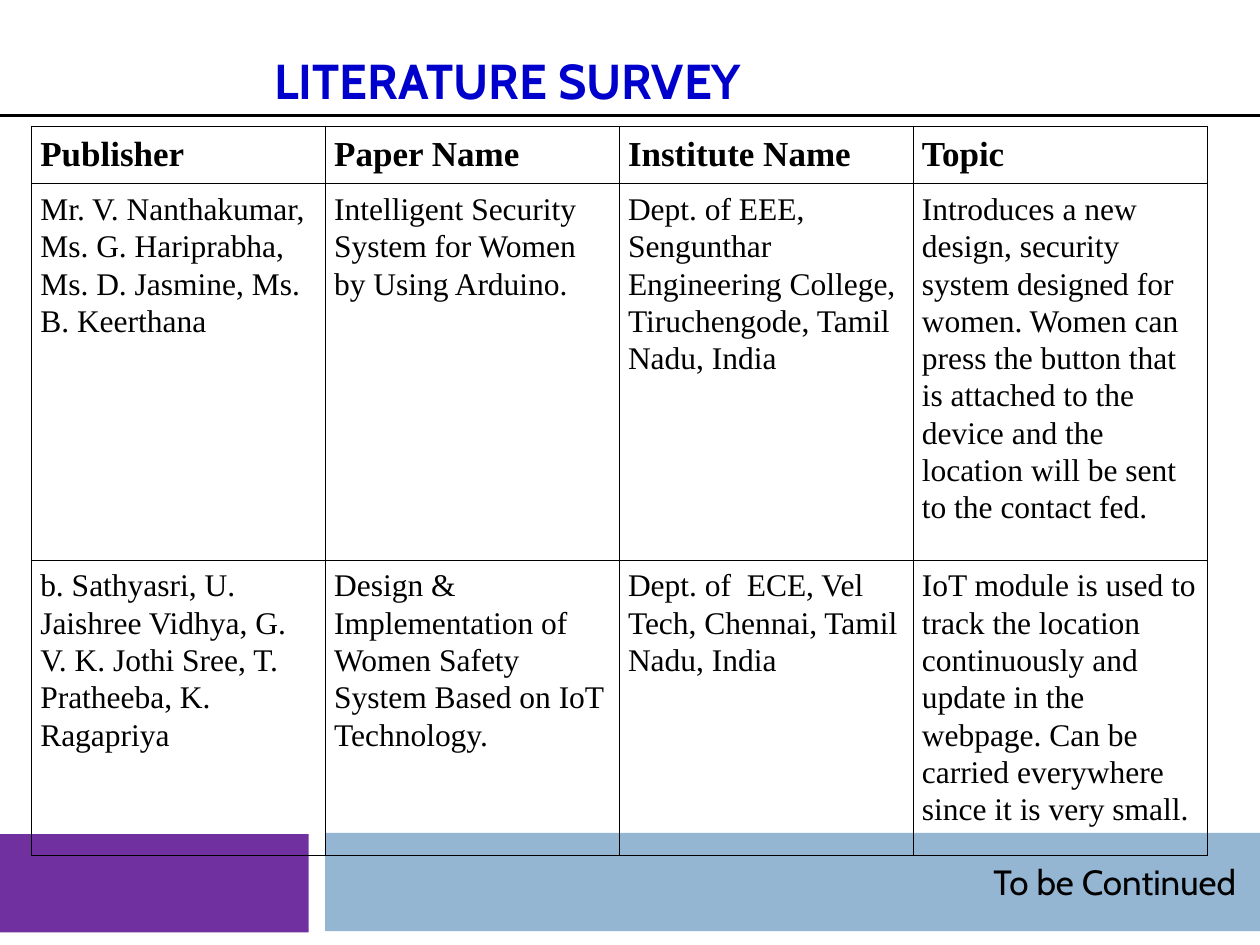
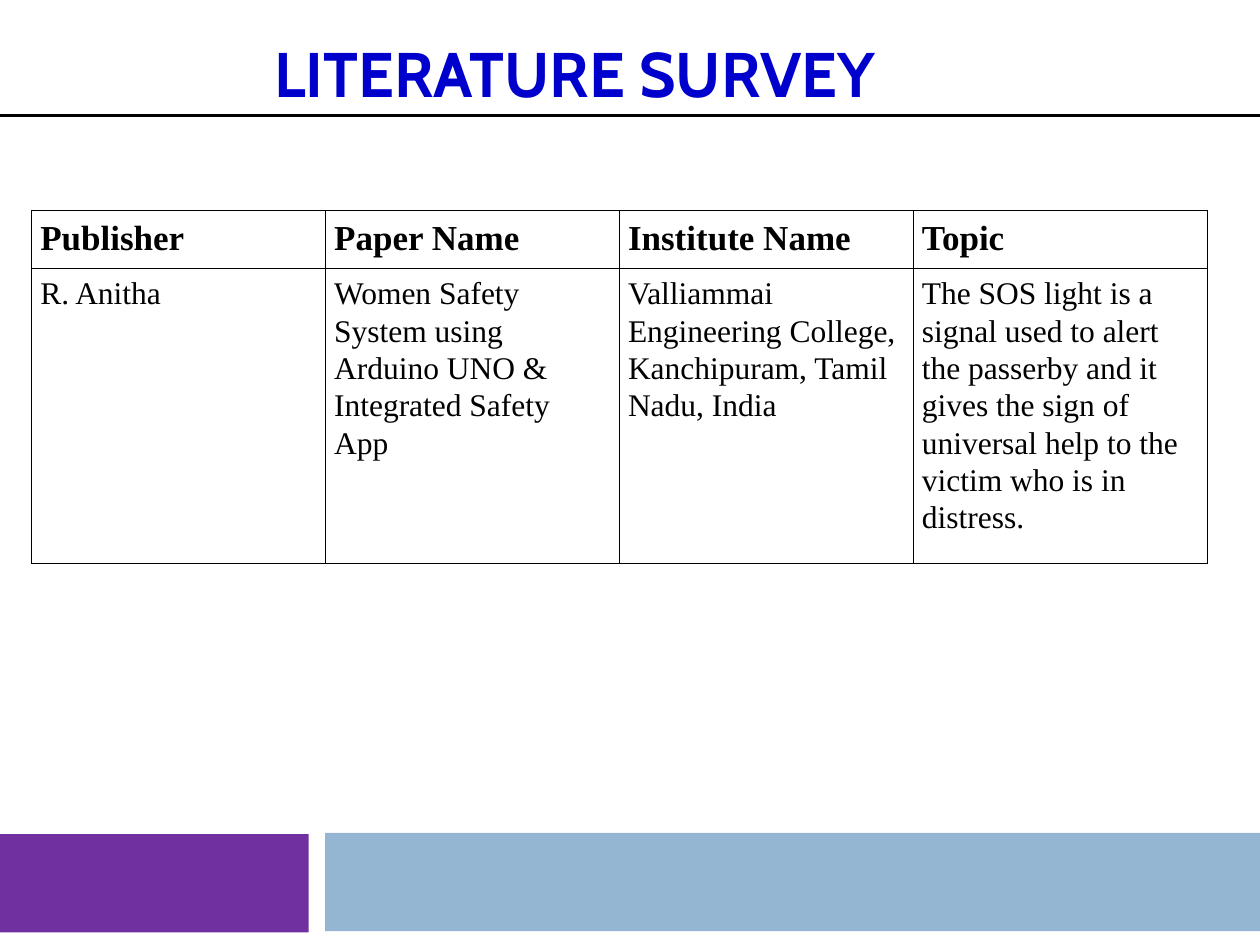
from dataclasses import dataclass

from lxml import etree
from pptx import Presentation
from pptx.dml.color import RGBColor
from pptx.enum.shapes import MSO_CONNECTOR, MSO_SHAPE
from pptx.enum.text import MSO_ANCHOR, PP_ALIGN
from pptx.oxml.ns import qn
from pptx.util import Inches, Pt

RECT = MSO_SHAPE.RECTANGLE
STRAIGHT = MSO_CONNECTOR.STRAIGHT
BOTTOM, MIDDLE = MSO_ANCHOR.BOTTOM, MSO_ANCHOR.MIDDLE
LEFT, RIGHT = PP_ALIGN.LEFT, PP_ALIGN.RIGHT

TITLE = "LITERATURE SURVEY"
HEADER = ("Publisher", "Paper Name", "Institute Name", "Topic")

SLIDES = [
    {
        "title_size": 28,
        "table_top": 1,
        "footer": "To be Continued",
        "row_heights": (2.89, 2.25),
        "papers": [
            (
                "Mr. V. Nanthakumar, Ms. G. Hariprabha, Ms. D. Jasmine, Ms. B. Keerthana",
                "Intelligent Security System for Women by Using Arduino.",
                "Dept. of EEE, Sengunthar Engineering College, Tiruchengode, "
                "Tamil Nadu, India",
                "Introduces a new design, security system designed for women. "
                "Women can press the button that is attached to the device and "
                "the location will be sent to the contact fed.",
            ),
            (
                "b. Sathyasri, U. Jaishree Vidhya, G. V. K. Jothi Sree, "
                "T. Pratheeba, K. Ragapriya",
                "Design & Implementation of Women Safety System Based on IoT Technology.",
                "Dept. of  ECE, Vel Tech, Chennai, Tamil Nadu, India",
                "IoT module is used to track the location continuously and update "
                "in the webpage. Can be carried everywhere since it is very small.",
            ),
        ],
    },
    {
        "title_size": 36,
        "table_top": 1.67,
        "footer": None,
        "row_heights": (2.25,),
        "papers": [
            (
                "R. Anitha",
                "Women Safety System using Arduino UNO & Integrated Safety App",
                "Valliammai Engineering College, Kanchipuram, Tamil Nadu, India",
                "The SOS light is a signal used to alert the passerby and it gives "
                "the sign of universal help to the victim who is in distress.",
            ),
        ],
    },
]


@dataclass(frozen=True)
class Theme:
    title: str = "0000CC"
    text: str = "000000"
    purple: str = "7030A0"
    blue: str = "94B6D2"
    heading_font: str = "Cabin"
    table_font: str = "Times New Roman"
    footer_size: int = 20
    header_size: int = 20
    body_size: int = 18
    rule_width: float = 1.75
    border_width: float = 0.45


THEME = Theme()
RULE_Y = 0.92
BANDS = [((-0.01, 6.62, 2.46, 0.78), THEME.purple), ((2.58, 6.61, 7.42, 0.78), THEME.blue)]
TITLE_BOX = (2.08, 0, 9.08, RULE_Y)
FOOTER_BOX = (2.58, 6.62, 7.33, 0.75)
TABLE_LEFT, TABLE_WIDTH, HEADER_HEIGHT = 0.25, 9.33, 0.43
CELL_MARGIN_X, CELL_MARGIN_Y = 0.07, 0.05


def inches(box):
    return [Inches(v) for v in box]


def add_run(p, text, font, size, color, bold=False):
    r = p.add_run()
    r.text = text
    r.font.name = font
    r.font.size = Pt(size)
    r.font.bold = bold
    r.font.color.rgb = RGBColor.from_string(color)


def add_text(s, box, text, size, color, anchor, align, bold=False):
    tf = s.shapes.add_textbox(*inches(box)).text_frame
    tf.word_wrap = True
    tf.vertical_anchor = anchor
    p = tf.paragraphs[0]
    p.alignment = align
    add_run(p, text, THEME.heading_font, size, color, bold)


def add_bands(s):
    for box, color in BANDS:
        sp = s.shapes.add_shape(RECT, *inches(box))
        sp.shadow.inherit = False
        sp.fill.solid()
        sp.fill.fore_color.rgb = RGBColor.from_string(color)
        sp.line.fill.background()


def add_rule(s):
    rule = s.shapes.add_connector(STRAIGHT, *inches((0, RULE_Y, 10, RULE_Y)))
    rule.line.color.rgb = RGBColor.from_string(THEME.text)
    rule.line.width = Pt(THEME.rule_width)
    etree.SubElement(rule._element.spPr, qn("a:effectLst"))


def add_borders(cell):
    tc_pr = cell._tc.get_or_add_tcPr()
    for side in ("a:lnL", "a:lnR", "a:lnT", "a:lnB"):
        ln = etree.SubElement(tc_pr, qn(side), w=str(Pt(THEME.border_width)))
        fill = etree.SubElement(ln, qn("a:solidFill"))
        etree.SubElement(fill, qn("a:srgbClr"), val=THEME.text)


def fill_cell(cell, text, is_header):
    add_borders(cell)
    cell.fill.background()
    cell.margin_left = cell.margin_right = Inches(CELL_MARGIN_X)
    cell.margin_top = cell.margin_bottom = Inches(CELL_MARGIN_Y)
    p = cell.text_frame.paragraphs[0]
    p.line_spacing = 1.07
    p.space_after = Pt(8)
    size = THEME.header_size if is_header else THEME.body_size
    add_run(p, text, THEME.table_font, size, THEME.text, is_header)


def add_survey_table(s, top, papers, row_heights):
    rows = [HEADER, *papers]
    heights = [HEADER_HEIGHT, *row_heights]
    box = (TABLE_LEFT, top, TABLE_WIDTH, sum(heights))
    table = s.shapes.add_table(len(rows), len(HEADER), *inches(box)).table
    table.first_row = table.horz_banding = False
    for col in table.columns:
        col.width = Inches(TABLE_WIDTH / len(HEADER))
    for i, (row, height) in enumerate(zip(rows, heights)):
        table.rows[i].height = Inches(height)
        for j, text in enumerate(row):
            fill_cell(table.cell(i, j), text, i == 0)


def build_slide(prs, data):
    s = prs.slides.add_slide(prs.slide_layouts[6])
    add_bands(s)
    add_text(s, TITLE_BOX, TITLE, data["title_size"], THEME.title, BOTTOM, LEFT, bold=True)
    add_rule(s)
    if data["footer"]:
        add_text(s, FOOTER_BOX, data["footer"], THEME.footer_size, THEME.text, MIDDLE, RIGHT)
    add_survey_table(s, data["table_top"], data["papers"], data["row_heights"])


def main():
    prs = Presentation()
    prs.slide_width, prs.slide_height = Inches(10), Inches(7.5)
    for data in SLIDES:
        build_slide(prs, data)
    prs.save("out.pptx")


if __name__ == "__main__":
    main()
